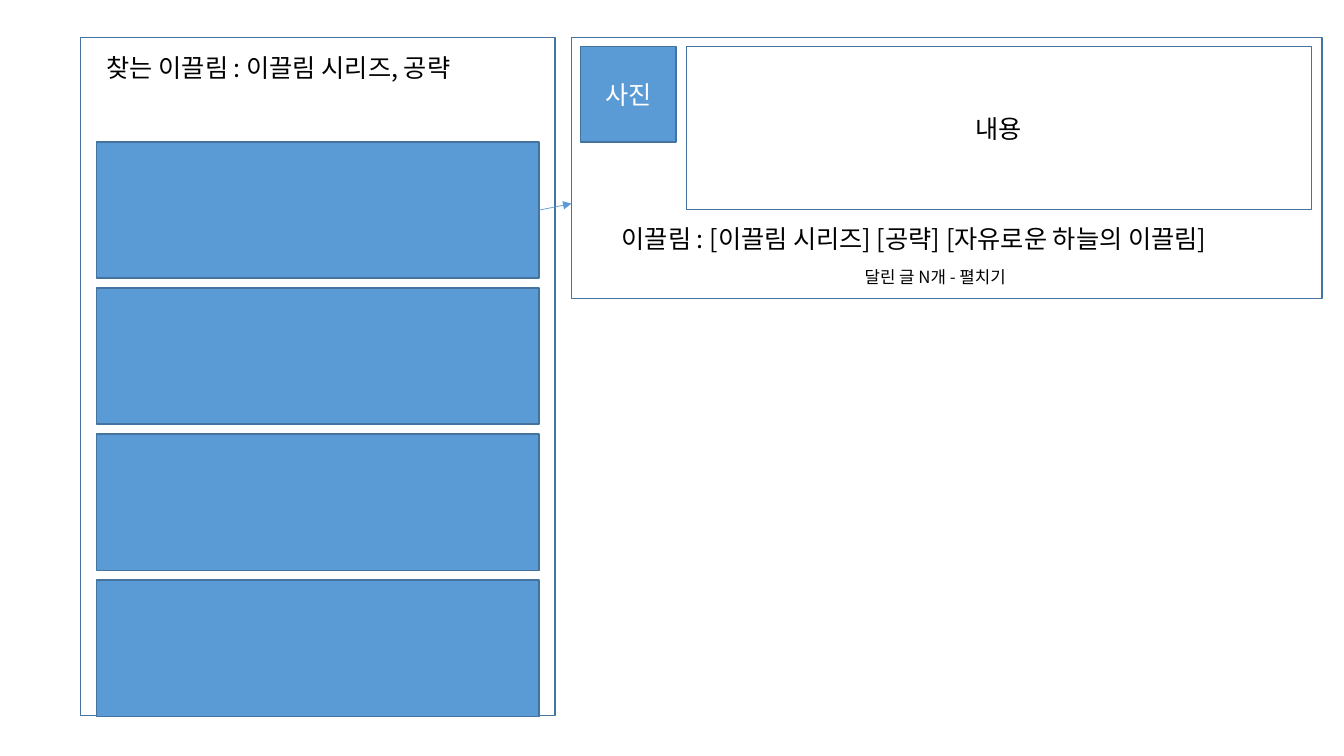
from lxml.etree import SubElement
from pptx import Presentation
from pptx.dml.color import RGBColor
from pptx.enum.shapes import MSO_CONNECTOR, MSO_SHAPE
from pptx.enum.text import MSO_ANCHOR, MSO_AUTO_SIZE, PP_ALIGN
from pptx.oxml.ns import qn
from pptx.util import Cm, Pt


def color(hex_value):
    return RGBColor.from_string(hex_value)


class Sketch:
    """Holds the style and the current slide; lengths are in centimetres."""
    FONT = "Noto Sans CJK KR"
    BLUE, EDGE, BLACK, WHITE = "5B9BD5", "43739E", "000000", "FFFFFF"

    def __init__(self, slide):
        self.slide = slide

    def fill_text(self, frame, text, ink, size, align):
        paragraph = frame.paragraphs[0]
        paragraph.alignment = align
        run = paragraph.add_run()
        run.text = text
        for name, value in {"name": self.FONT, "size": Pt(size)}.items():
            setattr(run.font, name, value)
        run.font.color.rgb = color(ink)
        # Hangul takes its typeface from the East Asian slot
        SubElement(run.font._element, qn("a:ea"), typeface=self.FONT)

    def box(self, left, top, width, height, fill=None, text=None, ink=BLACK):
        shape = self.slide.shapes.add_shape(
            MSO_SHAPE.RECTANGLE, Cm(left), Cm(top), Cm(width), Cm(height))
        shape.shadow.inherit = False
        if fill:
            shape.fill.solid()
            shape.fill.fore_color.rgb = color(fill)
        else:
            shape.fill.background()
        shape.line.color.rgb = color(self.EDGE)
        shape.line.width = Pt(1)
        if text:
            shape.text_frame.vertical_anchor = MSO_ANCHOR.MIDDLE
            self.fill_text(shape.text_frame, text, ink, 18, PP_ALIGN.CENTER)

    def label(self, left, top, width, height, text, size=18):
        frame = self.slide.shapes.add_textbox(
            Cm(left), Cm(top), Cm(width), Cm(height)).text_frame
        settings = {"word_wrap": False,
                    "auto_size": MSO_AUTO_SIZE.SHAPE_TO_FIT_TEXT}
        for name, value in settings.items():
            setattr(frame, name, value)
        self.fill_text(frame, text, self.BLACK, size, PP_ALIGN.LEFT)

    def arrow(self, x1, y1, x2, y2):
        connector = self.slide.shapes.add_connector(
            MSO_CONNECTOR.STRAIGHT, Cm(x1), Cm(y1), Cm(x2), Cm(y2))
        connector.line.color.rgb = color(self.BLUE)
        connector.line.width = Pt(0.5)
        properties = connector._element.spPr
        SubElement(properties.find(qn("a:ln")), qn("a:tailEnd"), type="triangle")
        SubElement(properties, qn("a:effectLst"))


deck = Presentation()
deck.slide_width, deck.slide_height = Cm(33.87), Cm(19.05)
sketch = Sketch(deck.slides.add_slide(deck.slide_layouts[6]))

# Search column with its four result cards
panel_top = 0.94
card_left, card_top, card_width, card_height, card_step = 2.44, 3.58, 11.15, 3.43, 3.68
sketch.box(2.03, panel_top, 11.96, 17.09)
for row in range(4):
    sketch.box(card_left, card_top + row * card_step, card_width, card_height, sketch.BLUE)

# Detail panel of one result
detail_left, detail_inner_top = 14.4, 1.17
sketch.box(detail_left, panel_top, 18.92, 6.58)
sketch.label(card_left, 1.19, 10.26, 1.02, "찾는 이끌림 : 이끌림 시리즈, 공략")
sketch.box(14.63, detail_inner_top, 2.41, 2.41, sketch.BLUE, "사진", sketch.WHITE)

# Arrow from the first card to the detail panel
sketch.arrow(card_left + card_width, card_top + card_height / 2, detail_left, 5.13)

# Content, tags and replies
sketch.box(17.3, detail_inner_top, 15.75, 4.11, text="내용")
sketch.label(15.42, 5.51, 16.89, 1.02,
             "이끌림 : [이끌림 시리즈] [공략] [자유로운 하늘의 이끌림]")
sketch.label(21.54, 6.6, 4.6, 0.76, "달린 글 N개 - 펼치기", 12)

deck.save("out.pptx")
